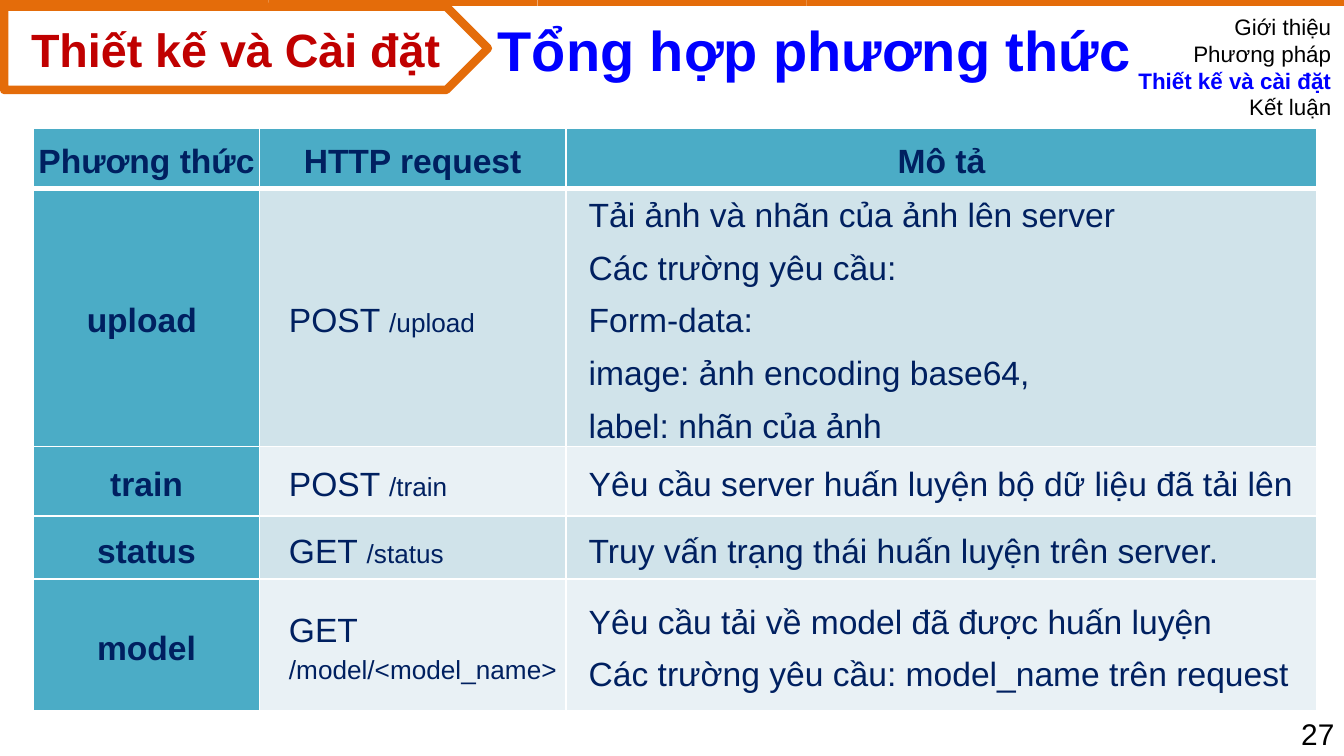
from pptx import Presentation
from pptx.dml.color import RGBColor
from pptx.enum.shapes import MSO_SHAPE
from pptx.enum.text import MSO_ANCHOR, PP_ALIGN
from pptx.oxml import parse_xml
from pptx.oxml.ns import nsdecls
from pptx.util import Pt

RECT, PENTAGON = MSO_SHAPE.RECTANGLE, MSO_SHAPE.PENTAGON
LEFT, CENTER, RIGHT = PP_ALIGN.LEFT, PP_ALIGN.CENTER, PP_ALIGN.RIGHT
MIDDLE = MSO_ANCHOR.MIDDLE

ORANGE = RGBColor(0xE4, 0x6C, 0x0A)
WHITE = RGBColor(0xFF, 0xFF, 0xFF)
BLACK = RGBColor(0, 0, 0)
BLUE = RGBColor(0, 0, 0xFF)
RED = RGBColor(0xC0, 0, 0)
NAVY = RGBColor(0x00, 0x20, 0x60)
TEAL = RGBColor(0x4B, 0xAC, 0xC6)
BAND_DARK = RGBColor(0xD0, 0xE3, 0xEA)
BAND_LIGHT = RGBColor(0xE9, 0xF1, 0xF5)

WIDTH, HEIGHT = 720, 405
BAR_COUNT = 5
COLUMNS = [121, 164.2, 402.5]
ROWS = [32.4, 138.2, 37.4, 33.8, 70.6]
SIDE_MARGIN = 1.44

HEADERS = ["Phương thức", "HTTP request", "Mô tả"]
METHODS = [
    ("upload ", "POST ", "/upload",
     ["Tải ảnh và nhãn của ảnh lên server", "Các trường yêu cầu:", "Form-data:",
      "image: ảnh encoding base64,", "label: nhãn của ảnh"]),
    ("train", "POST ", "/train",
     ["Yêu cầu server huấn luyện bộ dữ liệu đã tải lên"]),
    ("status", "GET ", "/status",
     ["Truy vấn trạng thái huấn luyện trên server."]),
    ("model", "GET ", "/model/<model_name>",
     ["Yêu cầu tải về model đã được huấn luyện",
      "Các trường yêu cầu: model_name trên request"]),
]
SECTIONS = ["Giới thiệu", "Phương pháp", "Thiết kế và cài đặt", "Kết luận"]
CURRENT_SECTION = "Thiết kế và cài đặt"


def add_run(p, text, size=18, color=NAVY, bold=False):
    r = p.add_run()
    r.text = text
    r.font.name = "Arial"
    r.font.size = Pt(size)
    r.font.bold = bold
    r.font.color.rgb = color


def next_paragraph(tf, index, align):
    p = tf.add_paragraph() if index else tf.paragraphs[0]
    p.alignment = align
    return p


def add_shape(slide, kind, x, y, w, h, fill, line=None):
    s = slide.shapes.add_shape(kind, Pt(x), Pt(y), Pt(w), Pt(h))
    s.shadow.inherit = False
    s.fill.solid()
    s.fill.fore_color.rgb = fill
    if line:
        s.line.color.rgb = line
        s.line.width = Pt(4.5)
    else:
        s.line.fill.background()
    return s


def add_textbox(slide, x, y, w, h, inset=7.2):
    tf = slide.shapes.add_textbox(Pt(x), Pt(y), Pt(w), Pt(h)).text_frame
    tf.word_wrap = True
    tf.margin_left = tf.margin_right = Pt(inset)
    return tf


def set_borders(cell, bottom):
    tc_pr = cell._tc.get_or_add_tcPr()
    widths = {"lnL": 1, "lnR": 1, "lnT": 1, "lnB": bottom}
    for i, (tag, width) in enumerate(widths.items()):
        tc_pr.insert(i, parse_xml(
            f'<a:{tag} {nsdecls("a")} w="{Pt(width)}"><a:solidFill>'
            f'<a:srgbClr val="{WHITE}"/></a:solidFill></a:{tag}>'))


def fill_cell(cell, lines, fill, align=LEFT, indent=0, bold=False, bottom=1):
    cell.fill.solid()
    cell.fill.fore_color.rgb = fill
    set_borders(cell, bottom)
    cell.vertical_anchor = MIDDLE
    cell.margin_left = cell.margin_right = Pt(SIDE_MARGIN)
    cell.margin_top = cell.margin_bottom = Pt(0)
    for i, runs in enumerate(lines):
        p = next_paragraph(cell.text_frame, i, align)
        p.line_spacing = 1.2
        p.space_before = Pt(2 if i else 0)
        p.space_after = Pt(2)
        p._p.get_or_add_pPr().set("marL", str(Pt(indent)))
        for text, size in runs:
            add_run(p, text, size=size, bold=bold)


def add_method_table(slide):
    frame = slide.shapes.add_table(len(ROWS), len(COLUMNS), Pt(18), Pt(68.5),
                                   Pt(sum(COLUMNS)), Pt(sum(ROWS)))
    table = frame.table
    for column, width in zip(table.columns, COLUMNS):
        column.width = Pt(width)
    for row, height in zip(table.rows, ROWS):
        row.height = Pt(height)
    for c, header in enumerate(HEADERS):
        fill_cell(table.cell(0, c), [[(header, 18)]], TEAL, align=CENTER,
                  bold=True, bottom=3)
    for i, (name, verb, route, description) in enumerate(METHODS, 1):
        band = BAND_DARK if i % 2 else BAND_LIGHT
        fill_cell(table.cell(i, 0), [[(name, 18)]], TEAL, align=CENTER, bold=True)
        fill_cell(table.cell(i, 1), [[(verb, 18), (route, 14)]], band, indent=14.4)
        fill_cell(table.cell(i, 2), [[(text, 18)] for text in description], band,
                  indent=10.8)


def add_top_bar(slide):
    step = WIDTH / BAR_COUNT
    for i in range(BAR_COUNT):
        add_shape(slide, RECT, i * step, -2, step, 5.2, ORANGE)


def add_label(slide, text, x, y, w, h, align=LEFT, inset=7.2, **font):
    tf = add_textbox(slide, x, y, w, h, inset)
    add_run(next_paragraph(tf, 0, align), text, **font)


def add_section_list(slide):
    tf = add_textbox(slide, 598.3, 3.4, 122, 65.5)
    for i, name in enumerate(SECTIONS):
        current = name == CURRENT_SECTION
        add_run(next_paragraph(tf, i, RIGHT), name, size=12,
                color=BLUE if current else BLACK, bold=current)


def add_chapter_tag(slide):
    s = add_shape(slide, PENTAGON, 2.2, 3.6, 259.2, 44.6, WHITE, line=ORANGE)
    s.text_frame.vertical_anchor = MIDDLE
    add_run(next_paragraph(s.text_frame, 0, CENTER), "Thiết kế và Cài đặt",
            size=25, color=RED, bold=True)


def main():
    prs = Presentation()
    prs.slide_width, prs.slide_height = Pt(WIDTH), Pt(HEIGHT)
    slide = prs.slides.add_slide(prs.slide_layouts[6])
    add_top_bar(slide)
    add_method_table(slide)
    add_label(slide, "Tổng hợp phương thức", 247, 5, 378.7, 43.6, align=CENTER,
              size=30, color=BLUE, bold=True)
    add_section_list(slide)
    add_chapter_tag(slide)
    add_label(slide, "27", 692, 380, 28, 25, inset=0, align=CENTER,
              size=16, color=BLACK)
    prs.save("out.pptx")


if __name__ == "__main__":
    main()
